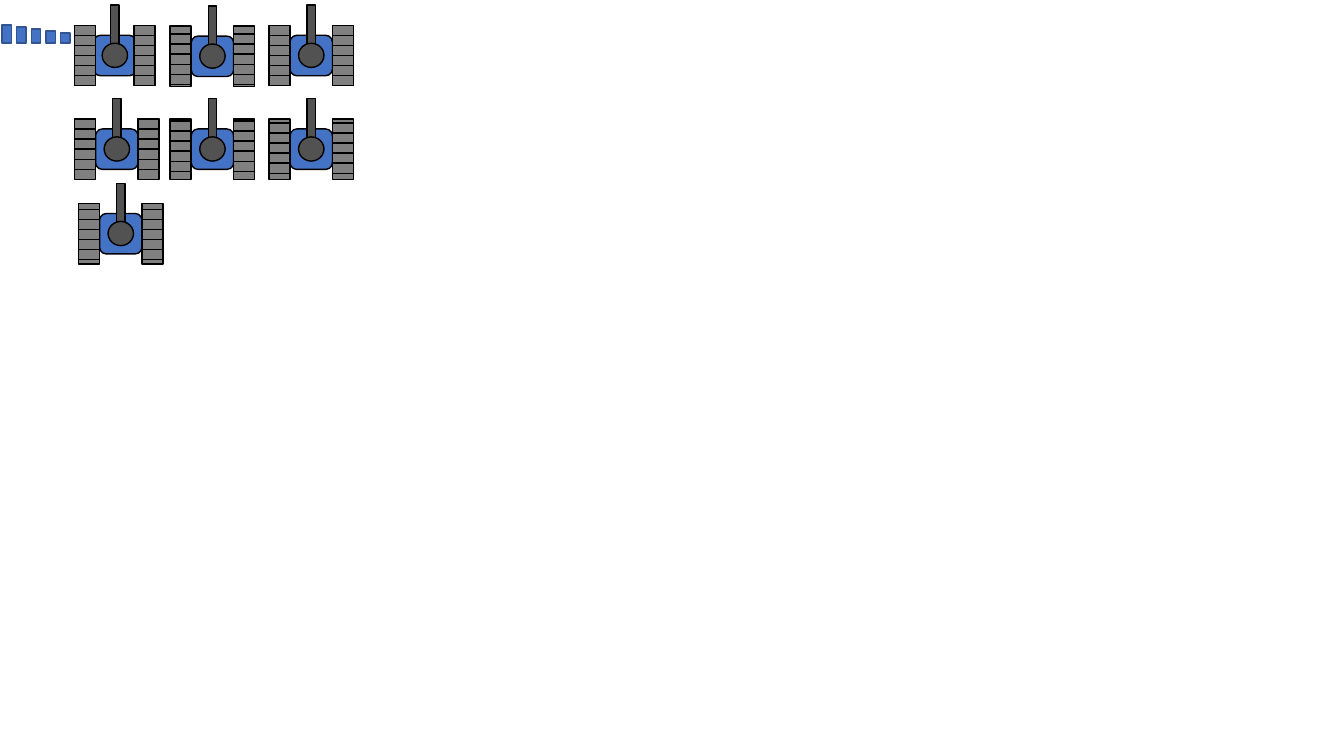
from dataclasses import dataclass
from typing import Any

from pptx import Presentation
from pptx import util as u
from pptx.dml import color
from pptx.enum import shapes

Kind = shapes.MSO_SHAPE


@dataclass(frozen=True)
class Theme:
    """Colours and line width of the slide."""
    blue: str = "4472C4"
    blue_edge: str = "325491"
    tread: str = "808080"
    gun: str = "525252"
    edge: str = "000000"
    line: float = 1


@dataclass(frozen=True)
class Tank:
    """A tank: outer left and tread top, first link offset and width, in cm."""
    left: float
    top: float
    link_offset: float
    width: float = 2.13
    grouped: bool = True


THEME = Theme()
TREAD_WIDTH, TREAD_HEIGHT = 0.53, 1.52
LINK_COUNT = 5
LINK_HEIGHT = TREAD_HEIGHT / (LINK_COUNT + 1)
BAR_COUNT, BAR_BOTTOM = 5, 1.09

FIRST_TANK = Tank(1.88, 0.64, 0.25, width=2.03, grouped=False)
OTHER_TANKS = [
    Tank(1.88, 3.0, 0),
    Tank(4.29, 3.0, 0.05),
    Tank(6.78, 3.0, 0.1),
    Tank(1.98, 5.13, 0.15),
    Tank(4.29, 0.66, 0.2),
    Tank(6.78, 0.64, 0.25),
]


def add_part(parent: Any, kind: Kind, left: float, top: float, width: float,
             height: float, fill: str, edge: str = THEME.edge) -> None:
    """Add one filled and outlined shape, measured in cm."""
    part = parent.add_shape(kind, u.Cm(left), u.Cm(top), u.Cm(width), u.Cm(height))
    part.shadow.inherit = False
    part.fill.solid()
    part.fill.fore_color.rgb = color.RGBColor.from_string(fill)
    part.line.color.rgb = color.RGBColor.from_string(edge)
    part.line.width = u.Pt(THEME.line)


def add_links(parent: Any, left: float, top: float) -> None:
    """Stack the links of one tread."""
    for link in range(LINK_COUNT):
        add_part(parent, Kind.RECTANGLE, left, top + link * LINK_HEIGHT,
                 TREAD_WIDTH, LINK_HEIGHT, THEME.tread)


def add_tank(slide_shapes: Any, tank: Tank) -> None:
    """Draw a tank seen from above, its hull and gun centred between the treads."""
    parent = slide_shapes.add_group_shape().shapes if tank.grouped else slide_shapes
    centre = tank.left + tank.width / 2
    right_tread = tank.left + tank.width - TREAD_WIDTH

    def add_centred(kind: Kind, drop: float, width: float, height: float, fill: str) -> None:
        """Add a part on the tank's centre line."""
        add_part(parent, kind, centre - width / 2, tank.top + drop, width, height, fill)

    def add_tread(left: float) -> None:
        """Add the plain band of one tread."""
        add_part(parent, Kind.RECTANGLE, left, tank.top, TREAD_WIDTH, TREAD_HEIGHT, THEME.tread)

    add_centred(Kind.ROUNDED_RECTANGLE, 0.25, 1.07, 1.02, THEME.blue)
    add_tread(right_tread)
    add_centred(Kind.RECTANGLE, -0.51, 0.21, 1.27, THEME.gun)
    add_centred(Kind.OVAL, 0.45, 0.64, 0.61, THEME.gun)
    add_tread(tank.left)
    for left in (right_tread, tank.left):
        links = parent if tank.grouped else parent.add_group_shape().shapes
        add_links(links, left, tank.top + tank.link_offset)


def add_bars(slide_shapes: Any) -> None:
    """Draw the row of bars that shrink towards the first tank."""
    for bar in reversed(range(BAR_COUNT)):
        height = 0.46 - 0.05 * bar
        add_part(slide_shapes, Kind.RECTANGLE, 0.05 + 0.37 * bar, BAR_BOTTOM - height,
                 0.24, height, THEME.blue, THEME.blue_edge)


def main() -> None:
    """Build and save the slide."""
    deck = Presentation()
    deck.slide_width, deck.slide_height = u.Cm(33.87), u.Cm(19.05)
    slide = deck.slides.add_slide(deck.slide_layouts[6])
    add_tank(slide.shapes, FIRST_TANK)
    add_bars(slide.shapes)
    for tank in OTHER_TANKS:
        add_tank(slide.shapes, tank)
    deck.save("out.pptx")


main()
